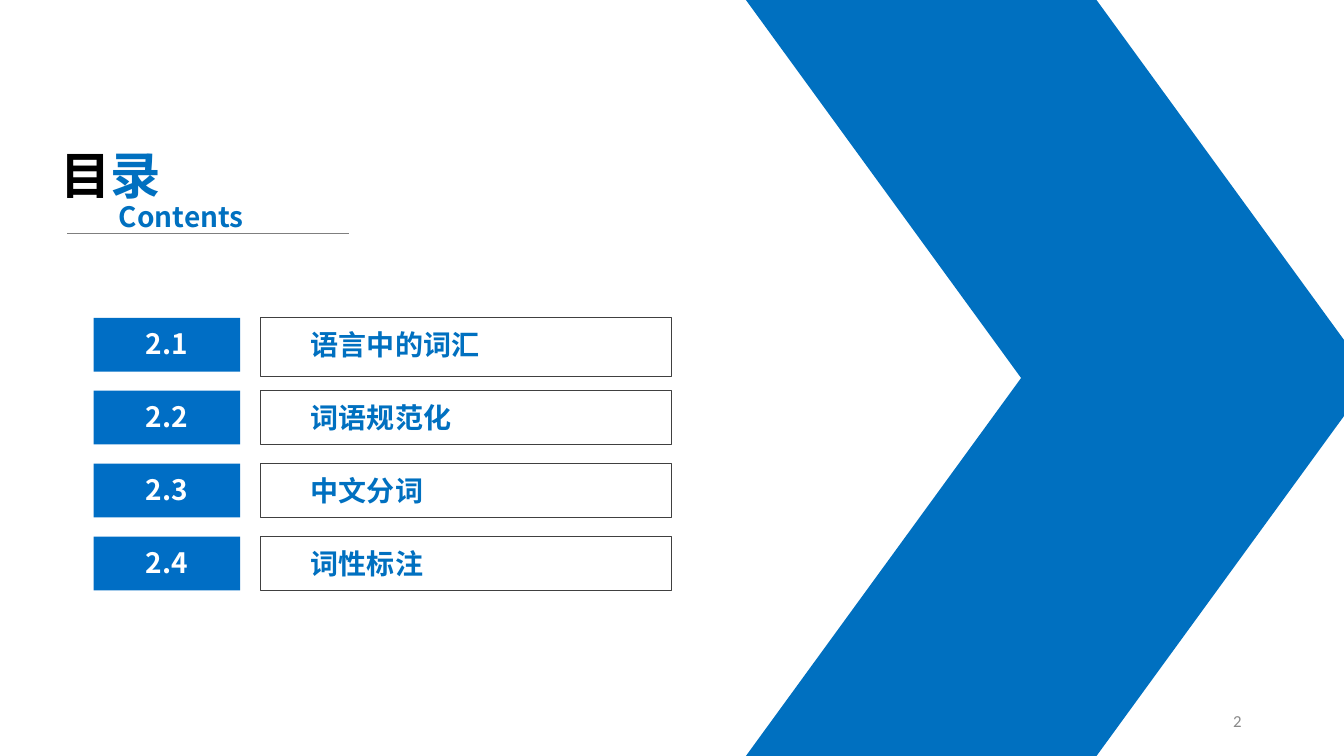
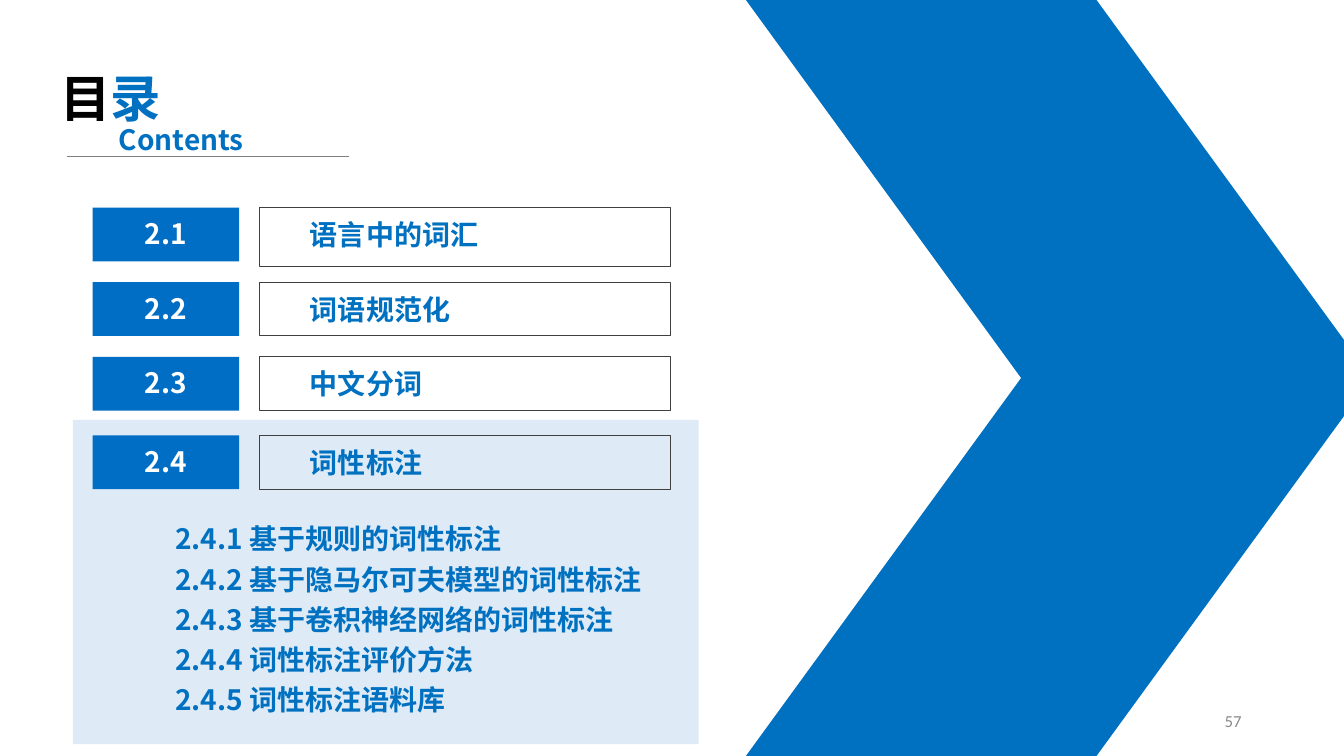
import pptx
import pptx.util
import pptx.dml.color
import pptx.enum.shapes
import pptx.enum.text
import pptx.oxml.ns
import lxml.etree

Pt = pptx.util.Pt
RGBColor = pptx.dml.color.RGBColor
MSO_SHAPE = pptx.enum.shapes.MSO_SHAPE
ANCHOR = pptx.enum.text.MSO_ANCHOR
ALIGN = pptx.enum.text.PP_ALIGN
qn = pptx.oxml.ns.qn

BLUE = RGBColor(0x00, 0x70, 0xC0)
NUMBER_BLUE = RGBColor(0x00, 0x6E, 0xC5)
PALE_BLUE = RGBColor(0xDE, 0xEB, 0xF7)
BLACK = RGBColor(0, 0, 0)
WHITE = RGBColor(255, 255, 255)
FRAME_GREY = RGBColor(0x40, 0x40, 0x40)
RULE_GREY = RGBColor(0x7F, 0x7F, 0x7F)
FOOTER_GREY = RGBColor(0x89, 0x89, 0x89)
HEADING_FONT = "Noto Sans CJK SC"
FOOTER_FONT = "Calibri"

SECTIONS = [
    ("2.1", "语言中的词汇"),
    ("2.2", "词语规范化"),
    ("2.3", "中文分词"),
    ("2.4", "词性标注"),
]
SUBSECTIONS = [
    "2.4.1 基于规则的词性标注",
    "2.4.2 基于隐马尔可夫模型的词性标注",
    "2.4.3 基于卷积神经网络的词性标注",
    "2.4.4 词性标注评价方法",
    "2.4.5 词性标注语料库",
]
PAGES = [
    {"number": "2", "title_top": 99.5, "left": 66.9, "top": 227, "pitch": 52.1,
     "open_gap": 0, "subsections": []},
    {"number": "57", "title_top": 44.5, "left": 66.2, "top": 148.3, "pitch": 53.3,
     "open_gap": 2.8, "subsections": SUBSECTIONS},
]

SLIDE_WIDTH, SLIDE_HEIGHT = 960, 540
ROW_HEIGHT = 38.4
FIRST_FRAME_HEIGHT = 42
NUMBER_WIDTH = 104.6
FRAME_OFFSET, FRAME_WIDTH = 119.2, 293.8


def style_runs(para, size, color, font=HEADING_FONT, bold=True):
    for span in para.runs:
        span.font.name = font
        span.font.size = Pt(size)
        span.font.bold = bold
        span.font.color.rgb = color
        east_asian = lxml.etree.Element(qn("a:ea"), typeface=font)
        span.font._element.find(qn("a:latin")).addnext(east_asian)


def add_text(page, left, top, width, height, lines, size, color, **style):
    box = page.shapes.add_textbox(Pt(left), Pt(top), Pt(width), Pt(height))
    box.text_frame.word_wrap = True
    box.text_frame.text = "\n".join(lines)
    for para in box.text_frame.paragraphs:
        style_runs(para, size, color, **style)
    return box


def add_block(page, kind, left, top, width, height, fill=None, line=None):
    block = page.shapes.add_shape(kind, Pt(left), Pt(top), Pt(width), Pt(height))
    block.shadow.inherit = False
    if fill is None:
        block.fill.background()
    else:
        block.fill.solid()
        block.fill.fore_color.rgb = fill
    if line is None:
        block.line.fill.background()
    else:
        block.line.color.rgb = line
        block.line.width = Pt(0.75)
    return block


def label_block(block, text, color, align, margin_left, margin_top):
    frame = block.text_frame
    frame.margin_left, frame.margin_top = Pt(margin_left), Pt(margin_top)
    frame.margin_right = frame.margin_bottom = 0
    frame.vertical_anchor = ANCHOR.TOP
    frame.text = text
    frame.paragraphs[0].alignment = align
    style_runs(frame.paragraphs[0], 20, color)


def add_chevron(page):
    half = SLIDE_HEIGHT / 2
    for top, flipped in ((half, False), (0, True)):
        arm = add_block(page, MSO_SHAPE.PARALLELOGRAM, 532.8, top, 447, half, BLUE)
        arm.adjustments[0] = 0.728
        if flipped:
            arm._element.spPr.find(qn("a:xfrm")).set("flipV", "1")


def add_title(page, top):
    title = add_text(page, 36, top, 113, 51, ["目"], 36, BLACK)
    para = title.text_frame.paragraphs[0]
    para.add_run().text = "录"
    style_runs(para, 36, BLACK)
    para.runs[1].font.color.rgb = BLUE
    rule_top = Pt(top + 67)
    rule = page.shapes.add_connector(
        pptx.enum.shapes.MSO_CONNECTOR.STRAIGHT, Pt(48), rule_top, Pt(249), rule_top)
    rule.line.color.rgb = RULE_GREY
    rule.line.width = Pt(0.5)
    lxml.etree.SubElement(rule._element.spPr, qn("a:effectLst"))
    add_text(page, 77.8, top + 39.3, 113, 31.5, ["Contents"], 20, BLUE)


def add_sections(page, left, top, pitch, open_gap):
    for index, (number, name) in enumerate(SECTIONS):
        is_last = index == len(SECTIONS) - 1
        row_top = top + index * pitch + (open_gap if is_last else 0)
        frame_height = FIRST_FRAME_HEIGHT if index == 0 else ROW_HEIGHT
        frame = add_block(page, MSO_SHAPE.RECTANGLE, left + FRAME_OFFSET, row_top,
                          FRAME_WIDTH, frame_height, line=FRAME_GREY)
        label_block(frame, name, BLUE, ALIGN.LEFT, 36, 7.2)
        badge = add_block(page, MSO_SHAPE.RECTANGLE, left, row_top,
                          NUMBER_WIDTH, ROW_HEIGHT, NUMBER_BLUE)
        label_block(badge, number, WHITE, ALIGN.CENTER, 0, 6.5)


def add_page_number(page, number):
    box = add_text(page, 678, 500.5, 216, 28.8, [number], 12, FOOTER_GREY,
                   font=FOOTER_FONT, bold=False)
    box.text_frame.vertical_anchor = ANCHOR.MIDDLE
    box.text_frame.paragraphs[0].alignment = ALIGN.RIGHT


def build_page(deck, content):
    page = deck.slides.add_slide(deck.slide_layouts[6])
    if content["subsections"]:
        add_block(page, MSO_SHAPE.RECTANGLE, 52, 300, 447, 231.6, PALE_BLUE)
    add_chevron(page)
    add_title(page, content["title_top"])
    add_sections(page, content["left"], content["top"], content["pitch"],
                 content["open_gap"])
    if content["subsections"]:
        outline = add_text(page, 118, 364.3, 490, 150.5, content["subsections"], 20, BLUE)
        for para in outline.text_frame.paragraphs:
            para.line_spacing = 1.2
    add_page_number(page, content["number"])


def main():
    deck = pptx.Presentation()
    deck.slide_width, deck.slide_height = Pt(SLIDE_WIDTH), Pt(SLIDE_HEIGHT)
    for content in PAGES:
        build_page(deck, content)
    deck.save("out.pptx")


if __name__ == "__main__":
    main()
